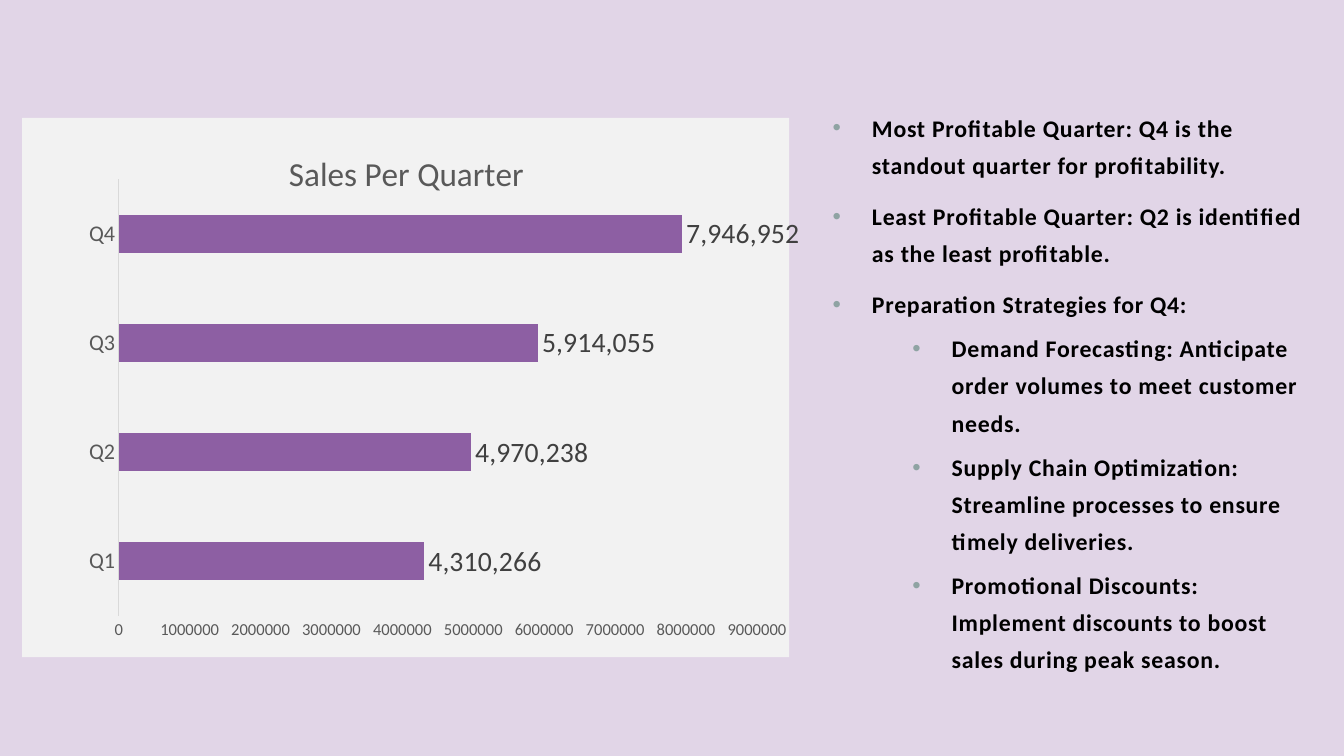
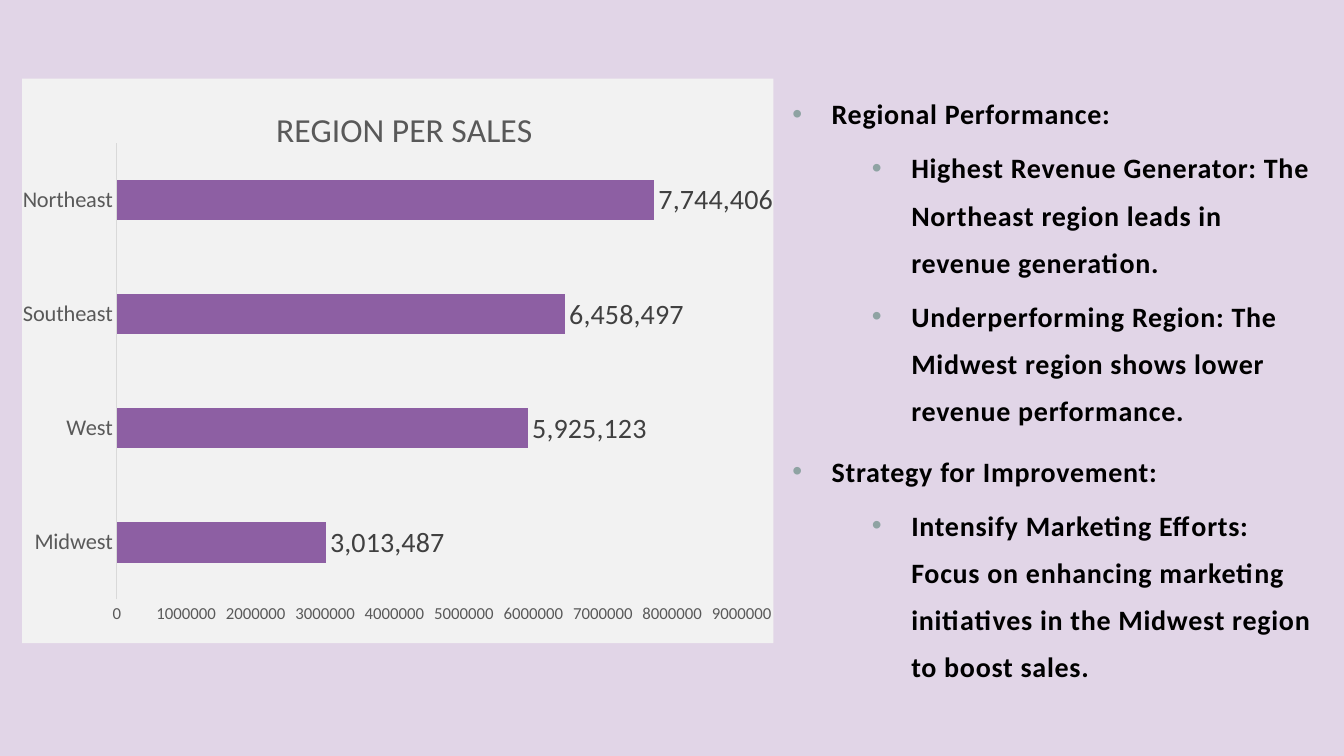
from lxml import etree
from pptx import Presentation
from pptx import util as u
from pptx.chart.data import CategoryChartData
from pptx.dml.color import RGBColor
from pptx.enum import chart as ch
from pptx.oxml import parse_xml
from pptx.oxml.ns import nsdecls, qn


def color(value):
    return RGBColor.from_string(value)


def place(parent, index, **fractions):
    existing = parent.find(qn("c:layout"))
    if existing is not None:
        parent.remove(existing)
    layout = etree.Element(qn("c:layout"))
    manual = etree.SubElement(layout, qn("c:manualLayout"))
    for tag, value in fractions.items():
        etree.SubElement(manual, qn(f"c:{tag}")).set("val", str(value))
    parent.insert(index, layout)


class Deck:
    FONT = "Calibri"
    BACKGROUND, PANEL, BAR = "E1D5E7", "F2F2F2", "8D5FA3"
    BODY, BULLET = "000000", "8FA3A3"
    AXIS_TEXT, AXIS_LINE, VALUE_TEXT = "595959", "D9D9D9", "404040"
    INDENTS = {0: 0.39, 2: 1.18}
    SPACE_BEFORE = {0: 10, 2: 5}

    def __init__(self):
        self.prs = Presentation()
        self.prs.slide_width = u.Inches(13.33)
        self.prs.slide_height = u.Inches(7.5)
        backdrop = self.prs.slide_master.background.fill
        backdrop.solid()
        backdrop.fore_color.rgb = color(self.BACKGROUND)

    def add_slide(self):
        self.slide = self.prs.slides.add_slide(self.prs.slide_layouts[6])

    def style(self, font, size, value, bold=False):
        font.name = self.FONT
        font.size = u.Pt(size)
        font.bold = bold
        font.color.rgb = color(value)

    def bullets(self, box, items, size, spacing):
        frame = self.slide.shapes.add_textbox(*map(u.Inches, box)).text_frame
        frame.word_wrap = True
        for number, (level, wording) in enumerate(items):
            point = frame.add_paragraph() if number else frame.paragraphs[0]
            point.text = wording
            point.level = level
            point.line_spacing = spacing
            point.space_before = u.Pt(self.SPACE_BEFORE[level])
            self.style(point.font, size, self.BODY, bold=True)
            props = point._p.get_or_add_pPr()
            props.set("marL", str(u.Inches(self.INDENTS[level])))
            props.set("indent", str(u.Inches(-0.39)))
            run_defaults = props.find(qn("a:defRPr"))
            run_defaults.set("spc", "50")
            for mark in (
                f'<a:buClr {nsdecls("a")}><a:srgbClr val="{self.BULLET}"/></a:buClr>',
                f'<a:buFont {nsdecls("a")} typeface="Arial"/>',
                f'<a:buChar {nsdecls("a")} char="•"/>',
            ):
                run_defaults.addprevious(parse_xml(mark))

    def bar_chart(self, box, heading, heading_at, sales):
        data = CategoryChartData()
        data.categories = list(sales)
        data.add_series("Series 1", list(sales.values()))
        chart = self.slide.shapes.add_chart(
            ch.XL_CHART_TYPE.BAR_CLUSTERED, *map(u.Inches, box), data).chart
        self.style(chart.font, 10, self.BODY)
        chart.has_legend = False
        chart.has_title = True
        title = chart.chart_title
        title.text_frame.text = heading
        self.style(title.text_frame.paragraphs[0].font, 24, self.AXIS_TEXT)
        left, top = heading_at
        place(title._element, 1, xMode="edge", yMode="edge", x=left, y=top)
        self.bars(chart.plots[0])
        self.axes(chart)
        root = chart._chartSpace
        place(root.chart.plotArea, 0, layoutTarget="inner", xMode="edge",
              yMode="edge", x=0.126, y=0.114, w=0.832, h=0.809)
        root.chart.addnext(parse_xml(
            f'<c:spPr {nsdecls("c", "a")}><a:solidFill><a:srgbClr val="{self.PANEL}"/>'
            '</a:solidFill><a:ln><a:noFill/></a:ln></c:spPr>'))

    def bars(self, plot):
        plot.gap_width = 182
        plot.vary_by_categories = False
        series = plot.series[0]
        series.format.fill.solid()
        series.format.fill.fore_color.rgb = color(self.BAR)
        labels = series.data_labels
        labels.show_value = True
        labels.position = ch.XL_LABEL_POSITION.OUTSIDE_END
        labels.number_format = "#,##0;\\-#,##0"
        labels.number_format_is_linked = False
        self.style(labels.font, 20, self.VALUE_TEXT)

    def axes(self, chart):
        for axis, size in ((chart.category_axis, 16), (chart.value_axis, 12)):
            axis.has_major_gridlines = False
            axis.major_tick_mark = ch.XL_TICK_MARK.NONE
            axis.minor_tick_mark = ch.XL_TICK_MARK.NONE
            self.style(axis.tick_labels.font, size, self.AXIS_TEXT)
        baseline = chart.category_axis.format.line
        baseline.color.rgb = color(self.AXIS_LINE)
        baseline.width = u.Pt(0.75)
        scale = chart.value_axis
        scale.format.line.fill.background()
        scale.minimum_scale = 0
        scale.maximum_scale = 9000000
        scale.major_unit = 1000000


def main():
    deck = Deck()

    deck.add_slide()
    deck.bullets((8.16, 0.99, 4.95, 5.74), [
        (0, "Most Profitable Quarter: Q4 is the standout quarter for profitability."),
        (0, "Least Profitable Quarter: Q2 is identified as the least profitable."),
        (0, "Preparation Strategies for Q4:"),
        (2, "Demand Forecasting: Anticipate order volumes to meet customer needs."),
        (2, "Supply Chain Optimization: Streamline processes to ensure timely deliveries."),
        (2, "Promotional Discounts: Implement discounts to boost sales during peak season."),
    ], 17, 1.3)
    deck.bar_chart((0.22, 1.17, 7.71, 5.35), "Sales Per Quarter", (0.34, 0.05), {
        "Q1": 4310266, "Q2": 4970238, "Q3": 5914055, "Q4": 7946952})

    deck.add_slide()
    deck.bullets((7.76, 0.78, 5.35, 6.2), [
        (0, "Regional Performance:"),
        (2, "Highest Revenue Generator: The Northeast region leads in revenue generation."),
        (2, "Underperforming Region: The Midwest region shows lower revenue performance."),
        (0, "Strategy for Improvement:"),
        (2, "Intensify Marketing Efforts: Focus on enhancing marketing initiatives "
            "in the Midwest region to boost sales."),
    ], 20, 1.4)
    deck.bar_chart((0.22, 0.78, 7.45, 5.6), "REGION PER SALES", (0.33, 0.04), {
        "Midwest": 3013487, "West": 5925123, "Southeast": 6458497, "Northeast": 7744406})

    deck.prs.save("out.pptx")


if __name__ == "__main__":
    main()
